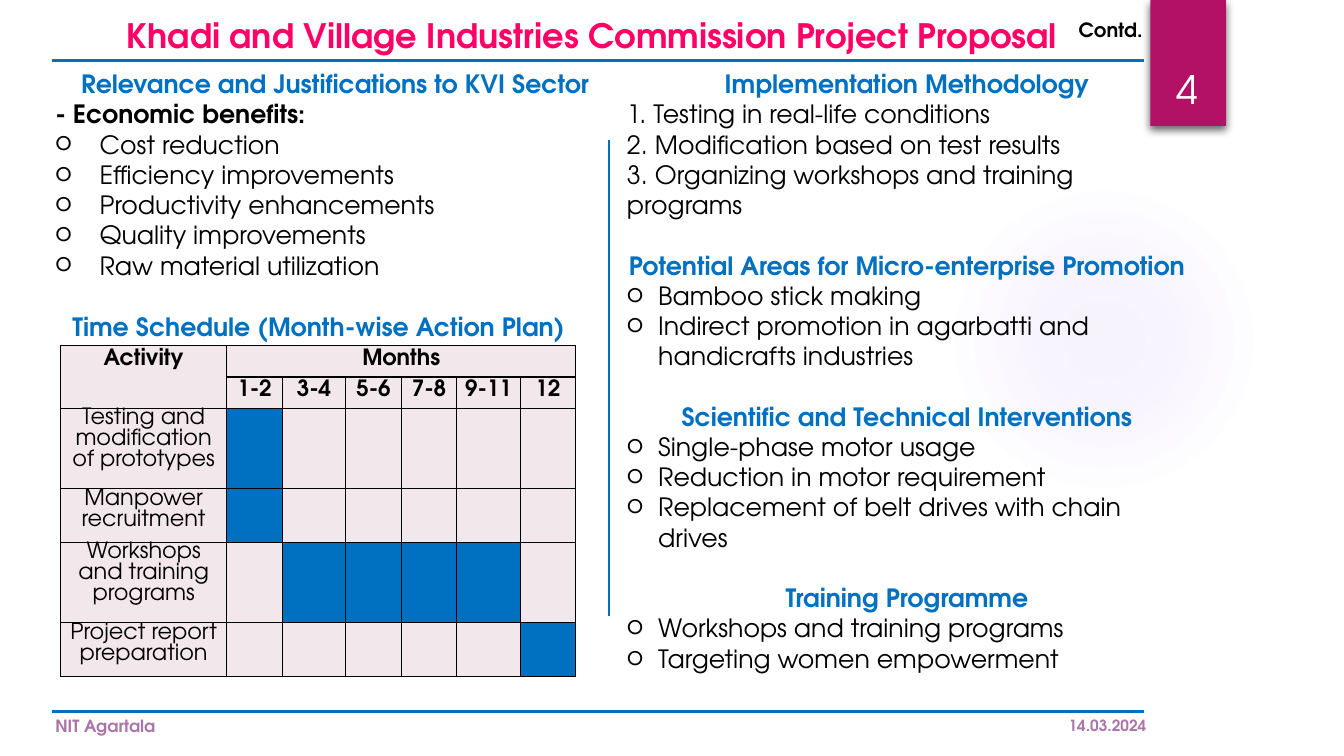
from dataclasses import dataclass

from lxml import etree
from pptx import Presentation
from pptx.dml.color import RGBColor
from pptx.enum.shapes import MSO_CONNECTOR, MSO_SHAPE
from pptx.enum.text import MSO_ANCHOR, MSO_AUTO_SIZE, PP_ALIGN
from pptx.oxml import parse_xml
from pptx.oxml.ns import nsdecls, qn
from pptx.util import Inches, Pt

LEFT, CENTER = PP_ALIGN.LEFT, PP_ALIGN.CENTER
TOP, BOTTOM = MSO_ANCHOR.TOP, MSO_ANCHOR.BOTTOM
RECTANGLE, OVAL = MSO_SHAPE.RECTANGLE, MSO_SHAPE.OVAL
STRAIGHT, NO_AUTOFIT = MSO_CONNECTOR.STRAIGHT, MSO_AUTO_SIZE.NONE
TITLE_ONLY = 5


@dataclass(frozen=True)
class Theme:
    font: str = "TeX Gyre Adventor"
    title: str = "FF0066"
    accent: str = "0070C0"
    tab: str = "B31166"
    glow: str = "9B6BF2"
    footer: str = "AA74A8"
    cell: str = "F2E7EA"
    ink: str = "000000"
    paper: str = "FFFFFF"
    title_size: int = 24
    number_size: int = 28
    body_size: int = 18
    table_size: int = 16
    note_size: int = 14
    footer_size: int = 12
    date_size: int = 11


THEME = Theme()

BENEFITS = [
    ("heading", "Relevance and Justifications to KVI Sector"),
    ("strong", "- Economic benefits:"),
    ("bullet", "Cost reduction"),
    ("bullet", "Efficiency improvements"),
    ("bullet", "Productivity enhancements"),
    ("bullet", "Quality improvements"),
    ("bullet", "Raw material utilization"),
]
METHODOLOGY = [
    ("heading", "Implementation Methodology"),
    ("plain", "1. Testing in real-life conditions"),
    ("plain", "2. Modification based on test results"),
    ("plain", "3. Organizing workshops and training programs"),
    ("heading", "Potential Areas for Micro-enterprise Promotion"),
    ("bullet", "Bamboo stick making"),
    ("bullet", "Indirect promotion in agarbatti and handicrafts industries"),
    ("heading", "Scientific and Technical Interventions"),
    ("bullet", "Single-phase motor usage"),
    ("bullet", "Reduction in motor requirement"),
    ("bullet", "Replacement of belt drives with chain drives"),
    ("heading", "Training Programme"),
    ("bullet", "Workshops and training programs"),
    ("bullet", "Targeting women empowerment"),
]
MONTHS = ["1-2", "3-4", "5-6", "7-8", "9-11", "12"]
# Activity, columns in which it runs, row height
ACTIVITIES = [
    ("Testing and modification of prototypes", {1}, 0.8),
    ("Manpower recruitment", {1}, 0.53),
    ("Workshops and training programs", {2, 3, 4, 5}, 0.8),
    ("Project report preparation", {6}, 0.53),
]
COLUMN_WIDTHS = [1.65, 0.55, 0.63, 0.55, 0.55, 0.63, 0.55]
HEADER_HEIGHT = 0.31


def rgb(color):
    return RGBColor.from_string(color)


def style(paragraph, size, color, bold=True, align=LEFT):
    paragraph.alignment = align
    font = paragraph.font
    font.name, font.size, font.bold = THEME.font, Pt(size), bold
    font.color.rgb = rgb(color)


def add_label(slide, box, text, size, color, bold=True, align=LEFT, anchor=TOP, wrap=True):
    frame = slide.shapes.add_textbox(*map(Inches, box)).text_frame
    frame.word_wrap, frame.vertical_anchor = wrap, anchor
    frame.text = text
    style(frame.paragraphs[0], size, color, bold, align)


def add_rule(slide, start, end, width=2):
    rule = slide.shapes.add_connector(STRAIGHT, *map(Inches, start + end))
    rule.line.color.rgb, rule.line.width = rgb(THEME.accent), Pt(width)
    etree.SubElement(rule._element.spPr, qn("a:effectLst"))


def add_glow(slide, box):
    """Soft circle that fades out towards its edge."""
    glow = slide.shapes.add_shape(OVAL, *map(Inches, box))
    glow.line.fill.background()
    glow.shadow.inherit = False
    stops = "".join(
        f'<a:gs pos="{position}000"><a:srgbClr val="{THEME.glow}">'
        f'<a:alpha val="{alpha}000"/></a:srgbClr></a:gs>'
        for position, alpha in ((0, 7), (36, 6), (69, 0)))
    gradient = parse_xml(
        f'<a:gradFill {nsdecls("a")}><a:gsLst>{stops}</a:gsLst><a:path path="circle">'
        '<a:fillToRect l="50000" t="50000" r="50000" b="50000"/></a:path></a:gradFill>')
    glow._element.spPr.find(qn("a:prstGeom")).addnext(gradient)


def add_number_tab(slide, box, number):
    left, top, width, height = box
    tab = slide.shapes.add_shape(RECTANGLE, *map(Inches, box))
    tab.fill.solid()
    tab.fill.fore_color.rgb = rgb(THEME.tab)
    tab.line.fill.background()
    tab.shadow.inherit = False
    tab._element.spPr.find(qn("a:effectLst")).append(parse_xml(
        f'<a:outerShdw {nsdecls("a")} blurRad="{Pt(6)}" dist="{Pt(3)}" dir="5400000">'
        f'<a:srgbClr val="{THEME.ink}"><a:alpha val="60000"/></a:srgbClr></a:outerShdw>'))
    add_label(slide, (left - 0.09, top + 0.32, width + 0.17, height - 0.41), number,
              THEME.number_size, THEME.paper, False, CENTER, BOTTOM)


def add_header(slide, box):
    left, top, width, height = box
    title = slide.shapes.title
    title.left, title.top, title.width, title.height = map(Inches, (left - 0.05, top, width, height))
    frame = title.text_frame
    frame.text = "Khadi and Village Industries Commission Project Proposal"
    frame.auto_size, frame.vertical_anchor, frame.word_wrap = NO_AUTOFIT, TOP, True
    style(frame.paragraphs[0], THEME.title_size, THEME.title, align=CENTER)
    add_label(slide, (left + 10.08, top + 0.03, 0.84, 0.34), "Contd.",
              THEME.note_size, THEME.ink, wrap=False)
    add_rule(slide, (left, top + height), (left + 10.83, top + height))


def add_footer(slide, box):
    left, top, width, height = box
    add_rule(slide, (left, top), (left + width, top))
    add_label(slide, (left - 0.07, top, 1.42, height), "NIT Agartala",
              THEME.footer_size, THEME.footer, anchor=BOTTOM)
    add_label(slide, (left + width - 0.85, top, 0.98, height), "14.03.2024",
              THEME.date_size, THEME.footer, wrap=False)


def add_outline(slide, box, entries, indent):
    """Column of headings, plain lines and bullets, with a line's gap above later headings."""
    frame = slide.shapes.add_textbox(*map(Inches, box)).text_frame
    frame.word_wrap = True
    for index, (role, text) in enumerate(entries):
        paragraph = frame.add_paragraph() if index else frame.paragraphs[0]
        paragraph.text = text
        heading = role == "heading"
        if heading and index:
            paragraph.space_before = Pt(1.2 * THEME.body_size)
        if role == "bullet":
            properties = paragraph._p.get_or_add_pPr()
            properties.set("marL", str(Inches(indent)))
            properties.set("indent", str(-Inches(indent)))
            etree.SubElement(properties, qn("a:buFont"), typeface=THEME.font)
            etree.SubElement(properties, qn("a:buChar"), char="o")
        style(paragraph, THEME.body_size, THEME.accent if heading else THEME.ink,
              role in ("heading", "strong"), CENTER if heading else LEFT)


def format_cell(cell, color):
    cell.margin_left = cell.margin_right = Inches(0.07)
    cell.margin_top = cell.margin_bottom = 0
    for side in ("lnL", "lnR", "lnT", "lnB"):
        cell._tc.get_or_add_tcPr().append(parse_xml(
            f'<a:{side} {nsdecls("a")} w="{Pt(1)}"><a:solidFill>'
            f'<a:srgbClr val="{THEME.ink}"/></a:solidFill></a:{side}>'))
    cell.fill.solid()
    cell.fill.fore_color.rgb = rgb(color)


def write_cell(cell, text, bold, spacing):
    cell.text = text
    paragraph = cell.text_frame.paragraphs[0]
    paragraph.line_spacing, paragraph.space_after = spacing, Pt(10)
    style(paragraph, THEME.table_size, THEME.ink, bold, CENTER)


def add_schedule(slide, box):
    left, top, width, height = box
    add_label(slide, (left, top - 0.39, width, 0.4), "Time Schedule (Month-wise Action Plan)",
              THEME.body_size, THEME.accent, align=CENTER)
    heights = [HEADER_HEIGHT] * 2 + [activity[2] for activity in ACTIVITIES]
    table = slide.shapes.add_table(len(heights), len(COLUMN_WIDTHS), *map(Inches, box)).table
    table.first_row = table.horz_banding = False
    for column, column_width in zip(table.columns, COLUMN_WIDTHS):
        column.width = Inches(column_width)
    for row, row_height in zip(table.rows, heights):
        row.height = Inches(row_height)
    running = [set(), set()] + [activity[1] for activity in ACTIVITIES]
    for row, active in enumerate(running):
        for column in range(len(COLUMN_WIDTHS)):
            format_cell(table.cell(row, column), THEME.accent if column in active else THEME.cell)
    table.cell(0, 0).merge(table.cell(1, 0))
    table.cell(0, 1).merge(table.cell(0, len(MONTHS)))
    write_cell(table.cell(0, 0), "Activity", True, 1.15)
    write_cell(table.cell(0, 1), "Months", True, 1.15)
    for column, months in enumerate(MONTHS, 1):
        write_cell(table.cell(1, column), months, True, 1.15)
    for row, (activity, _, _) in enumerate(ACTIVITIES, 2):
        write_cell(table.cell(row, 0), activity, False, Pt(15))


def main():
    deck = Presentation()
    deck.slide_width, deck.slide_height = Inches(13.33), Inches(7.5)
    slide = deck.slides.add_slide(deck.slide_layouts[TITLE_ONLY])
    add_glow(slide, (9.41, 1.83, 3.08, 3.08))
    add_number_tab(slide, (11.41, 0, 0.75, 1.25), "4")
    add_header(slide, (0.52, 0.1, 10.8, 0.5))
    add_outline(slide, (0.45, 0.63, 5.75, 2.22), BENEFITS, 0.44)
    add_schedule(slide, (0.6, 3.43, 5.12, 3.28))
    add_rule(slide, (6.04, 6.11), (6.04, 1.39), 1.75)
    add_outline(slide, (6.12, 0.63, 5.75, 6.46), METHODOLOGY, 0.31)
    add_footer(slide, (0.52, 7.06, 10.83, 0.29))
    deck.save("out.pptx")


if __name__ == "__main__":
    main()
